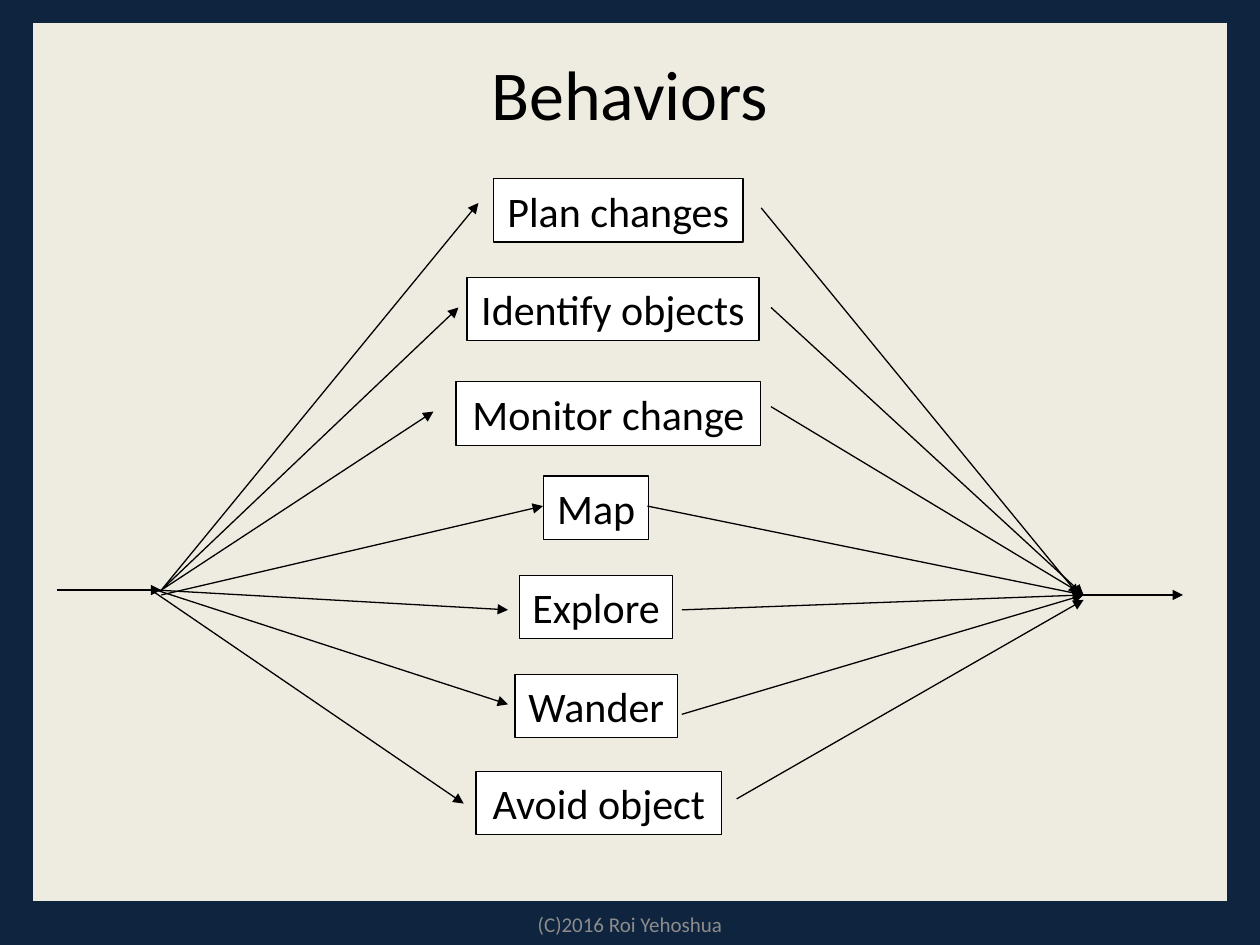
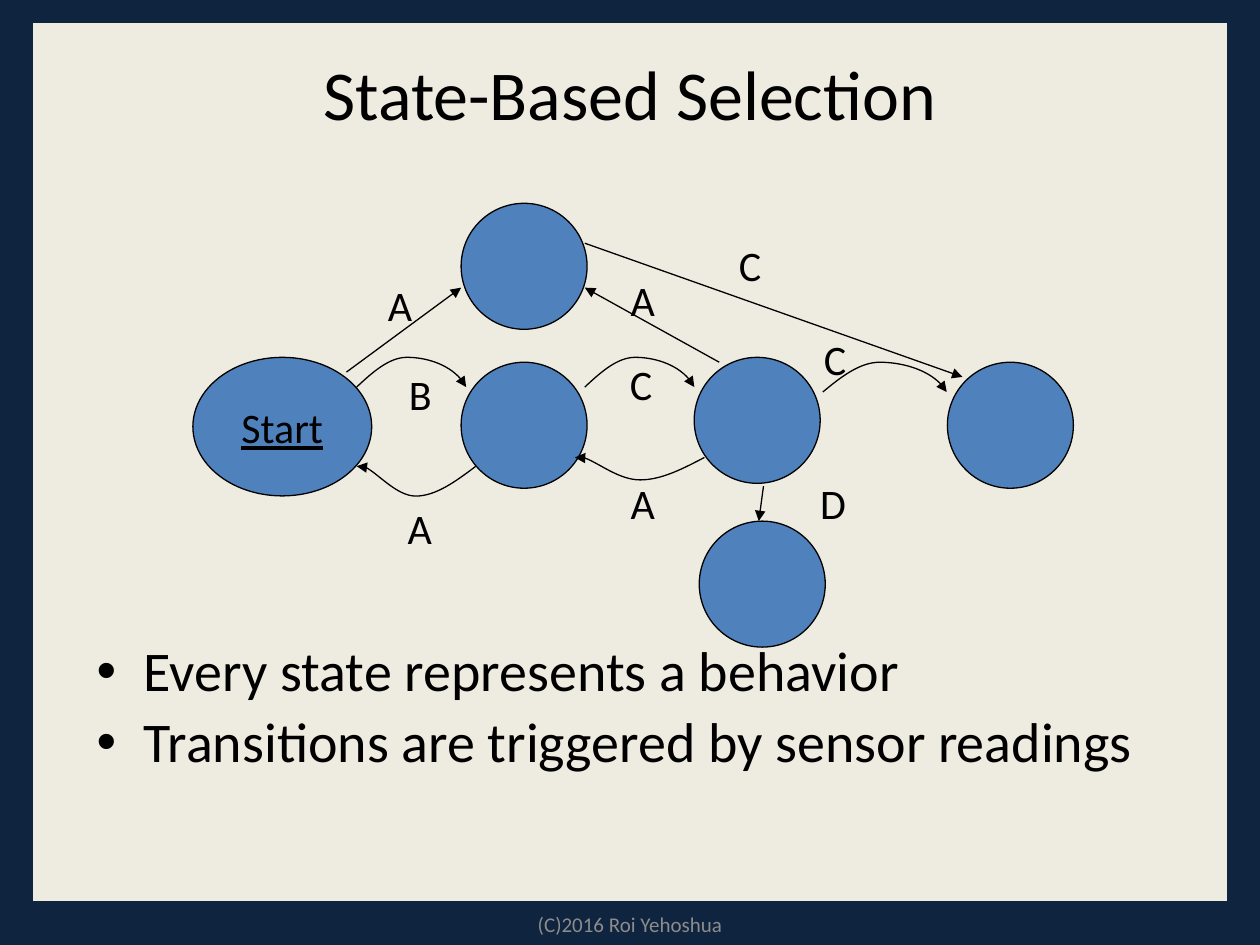
from lxml import etree
from pptx import Presentation
from pptx.dml.color import RGBColor
from pptx.enum.shapes import MSO_CONNECTOR, MSO_SHAPE
from pptx.enum.text import MSO_ANCHOR, MSO_AUTO_SIZE, PP_ALIGN
from pptx.oxml.ns import qn
from pptx.util import Pt

NAVY = RGBColor(0x0F, 0x24, 0x3E)
CREAM = RGBColor(0xEE, 0xEC, 0xE1)
BLUE = RGBColor(0x4F, 0x81, 0xBD)
GRAY = RGBColor(0x8C, 0x8C, 0x8C)
BLACK = RGBColor(0, 0, 0)
WHITE = RGBColor(255, 255, 255)

RECTANGLE, OVAL = MSO_SHAPE.RECTANGLE, MSO_SHAPE.OVAL
STRAIGHT = MSO_CONNECTOR.STRAIGHT
LEFT, CENTER = PP_ALIGN.LEFT, PP_ALIGN.CENTER
MIDDLE = MSO_ANCHOR.MIDDLE
FIT_SHAPE, NO_FIT = MSO_AUTO_SIZE.SHAPE_TO_FIT_TEXT, MSO_AUTO_SIZE.NONE

FONT_NAME = "Calibri"
LABEL_SIZE = 24
LABEL_HEIGHT = 36.35
LINE_WIDTH = Pt(0.75)
LABEL_FRAME = {"word_wrap": False, "auto_size": FIT_SHAPE}


def write_text(text_frame, lines, size=LABEL_SIZE, color=BLACK, align=CENTER, **frame_format):
    """Fill a text frame with one paragraph per line."""
    for name, value in frame_format.items():
        setattr(text_frame, name, value)
    text_frame.text = "\n".join(lines)
    font_format = {"name": FONT_NAME, "size": Pt(size)}
    for paragraph in text_frame.paragraphs:
        paragraph.alignment = align
        for name, value in font_format.items():
            setattr(paragraph.runs[0].font, name, value)
        paragraph.runs[0].font.color.rgb = color


def add_arrow(slide, *points):
    """Draw a straight arrow through 2 points or a Bézier arrow through 3n + 1."""
    vertices = [(Pt(x), Pt(y)) for x, y in points]
    if len(vertices) == 2:
        arrow = slide.shapes.add_connector(STRAIGHT, *vertices[0], *vertices[1])
    else:
        builder = slide.shapes.build_freeform(*vertices[0])
        builder.add_line_segments(vertices[1:], close=False)
        arrow = builder.convert_to_shape()
        arrow.fill.background()
        # Every three line segments become one cubic curve
        segments = list(arrow.element.iter(qn("a:lnTo")))
        outline = segments[0].getparent()
        for first in range(0, len(segments), 3):
            curve = etree.SubElement(outline, qn("a:cubicBezTo"))
            for segment in segments[first:first + 3]:
                curve.append(segment[0])
                outline.remove(segment)
    arrow.line.color.rgb = BLACK
    arrow.line.width = LINE_WIDTH
    properties = arrow.element.spPr
    etree.SubElement(properties.find(qn("a:ln")), qn("a:tailEnd"), type="triangle")
    etree.SubElement(properties, qn("a:effectLst"))


presentation = Presentation()
presentation.slide_width, presentation.slide_height = Pt(720), Pt(540)
background = presentation.slide_master.background.fill
background.solid()
background.fore_color.rgb = NAVY

# Shared frame, title and footer
slides = []
for title_text, layout_index in (("Behaviors", 5), ("State-Based Selection", 1)):
    slide = presentation.slides.add_slide(presentation.slide_layouts[layout_index])
    title = slide.shapes.title
    title.left, title.top, title.width, title.height = Pt(18), Pt(15.4), Pt(684), Pt(75)
    write_text(title.text_frame, [title_text], 40, vertical_anchor=MIDDLE, auto_size=NO_FIT)

    panel = slide.shapes.add_shape(RECTANGLE, Pt(18), Pt(12), Pt(684), Pt(504))
    panel.shadow.inherit = False
    panel.fill.solid()
    panel.fill.fore_color.rgb = CREAM
    panel.line.color.rgb = NAVY
    panel.line.width = Pt(2)
    title.element.addprevious(panel.element)

    footer = slide.shapes.add_textbox(Pt(246), Pt(516), Pt(228), Pt(24))
    write_text(footer.text_frame, ["(C)2016 Roi Yehoshua"], 12, GRAY,
               vertical_anchor=MIDDLE, word_wrap=True)
    slides.append(slide)

behaviors_slide, states_slide = slides

# Behaviors: label, box (left, top, width), incoming arrow, outgoing arrow
FORK = (92.2, 337.2)
LOW_FORK = (89.3, 337.2)
MERGE = (619.2, 340)
behaviors = [
    ("Plan changes", (282, 102, 142.6), (FORK, (273.4, 116)), ((435, 118.8), (616.3, 340))),
    ("Identify objects", (266.8, 158.4, 167), (FORK, (262, 175.7)), ((440.6, 175.7), MERGE)),
    ("Monitor change", (260.6, 218.2, 174.2), (FORK, (247.7, 235.2)), ((440.6, 232.4), MERGE)),
    ("Map", (310.8, 272, 59.8), ((92.2, 340), (310.3, 289.2)), ((370, 289.2), MERGE)),
    ("Explore", (296.7, 328.7, 87.8), (LOW_FORK, (290.3, 348.5)), ((389.6, 348.5), MERGE)),
    ("Wander", (294.3, 385.3, 92.9), (LOW_FORK, (290.3, 402.5)), ((389.6, 408.2), MERGE)),
    ("Avoid object", (272, 440.7, 140.4), ((86.4, 337.2), (265, 459.2)), ((421, 456.5), (619.2, 342.8))),
]
for label, (left, top, width), incoming, outgoing in behaviors:
    box = behaviors_slide.shapes.add_shape(RECTANGLE, Pt(left), Pt(top), Pt(width), Pt(LABEL_HEIGHT))
    box.shadow.inherit = False
    box.fill.solid()
    box.fill.fore_color.rgb = WHITE
    box.line.color.rgb = BLACK
    box.line.width = LINE_WIDTH
    write_text(box.text_frame, [label], **LABEL_FRAME)
    add_arrow(behaviors_slide, *incoming)
    add_arrow(behaviors_slide, *outgoing)
add_arrow(behaviors_slide, (32.4, 337.2), FORK)
add_arrow(behaviors_slide, (616.3, 340), (676, 340))

# State-based selection: explanation below the diagram
body = states_slide.placeholders[1]
body.left, body.top, body.width, body.height = Pt(48), Pt(114), Pt(642), Pt(354)
write_text(body.text_frame,
           ["Every state represents a behavior", "Transitions are triggered by sensor readings"],
           32, align=LEFT, auto_size=NO_FIT, margin_top=Pt(253.3))
for paragraph in body.text_frame.paragraphs:
    for name, value in {"line_spacing": 0.9, "space_before": Pt(6.4)}.items():
        setattr(paragraph, name, value)

# States: left, top, width, height, label
states = [
    (110.2, 204.2, 102.2, 79.2, "Start"),
    (263.5, 207, 72, 72, ""),
    (541.4, 207, 72, 72, ""),
    (396.7, 204.2, 72, 72, ""),
    (263.5, 116.2, 72, 72, ""),
    (399.6, 297.8, 72, 72, ""),
]
for left, top, width, height, label in states:
    state = states_slide.shapes.add_shape(OVAL, Pt(left), Pt(top), Pt(width), Pt(height))
    state.shadow.inherit = False
    state.fill.solid()
    state.fill.fore_color.rgb = BLUE
    state.line.color.rgb = BLACK
    state.line.width = LINE_WIDTH
    if label:
        write_text(state.text_frame, [label], word_wrap=False, vertical_anchor=MIDDLE)
        state.text_frame.paragraphs[0].runs[0].font.underline = True

# Forward curves share one outline: left, top, width
for left, top, width in ((203.8, 204.2, 62.6), (334.2, 204.2, 62.6), (470.2, 207, 70.8)):
    outline = ((0, 17), (0.15, 8.2), (0.3, 0), (0.46, 0), (0.62, 0), (0.9, 4.5), (1, 17))
    add_arrow(states_slide, *[(left + x * width, top + y) for x, y in outline])

# Return curves and straight transitions
transitions = [
    ((272, 266.4), (260.6, 275), (249.1, 283.5), (237.6, 283.5), (226.8, 283.5), (208, 262), (203.8, 266.4)),
    ((402.5, 261.4), (390.2, 267.8), (378, 274.2), (365.8, 274.2), (353.5, 274.2), (333.4, 257.8), (328.5, 261.4)),
    ((198, 212.6), (263.5, 164.4)),
    ((436.3, 277.8), (433.6, 297.8)),
    ((411, 207), (334.2, 164.4)),
    ((334.2, 139), (550, 215.4)),
]
for points in transitions:
    add_arrow(states_slide, *points)

# Transition labels: text, left, top
transition_labels = [
    ("A", 214.6, 156.2), ("A", 225.8, 283.7), ("B", 226.6, 207), ("C", 352.8, 201.6), ("A", 353.3, 153.4),
    ("C", 415.2, 133.2), ("A", 353.3, 269.3), ("D", 461.5, 269.3), ("C", 463.7, 187.2),
]
for label, left, top in transition_labels:
    label_box = states_slide.shapes.add_textbox(Pt(left), Pt(top), Pt(28.5), Pt(LABEL_HEIGHT))
    write_text(label_box.text_frame, [label], align=LEFT, **LABEL_FRAME)

presentation.save("out.pptx")
